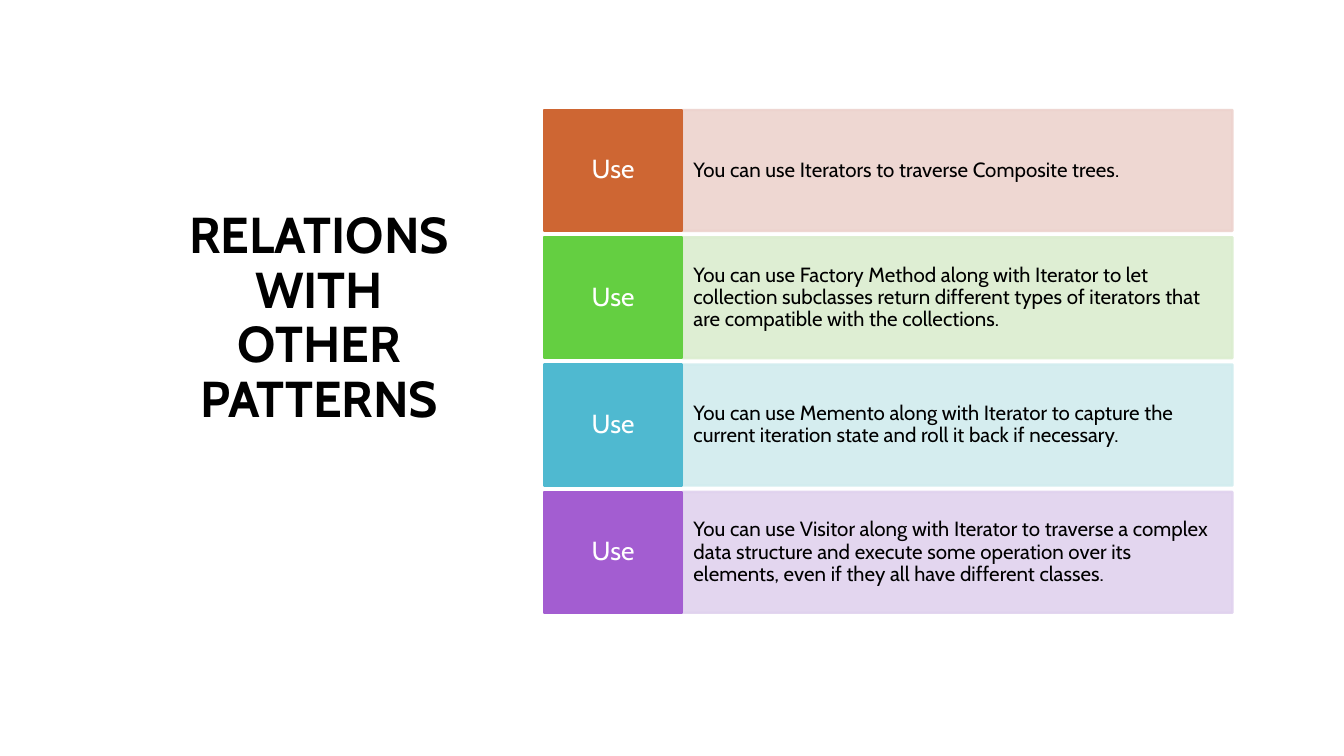
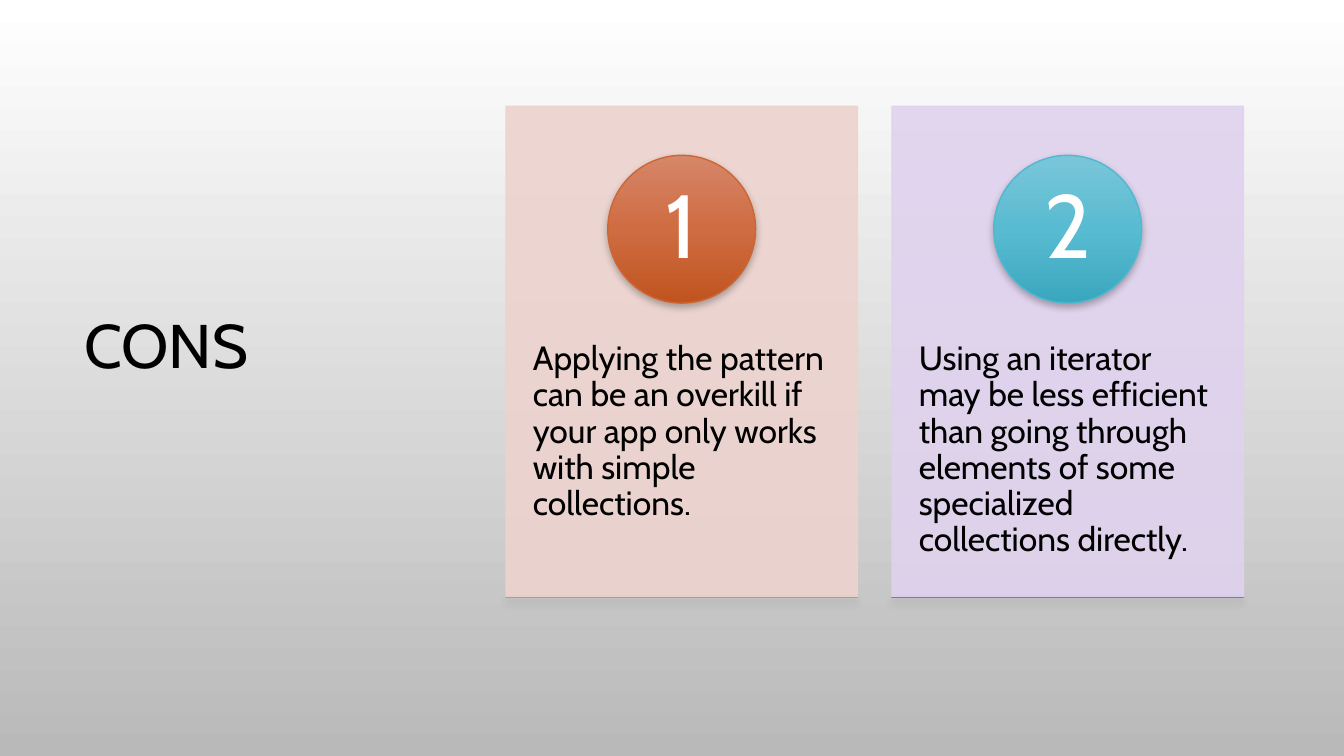
from copy import deepcopy
from lxml import etree
from pptx import Presentation
from pptx import util as u
from pptx.dml.color import RGBColor
from pptx.enum import shapes, text
from pptx.oxml.ns import qn

FONT = "Cabin"
COLORS = {
    "black": "000000", "white": "FFFFFF", "grey": "B9B9B9",
    "orange": "CE6633", "green": "64CF41", "blue": "4FB9D0", "purple": "A35DD1",
    "pale orange": "EDD3CE", "pale green": "DBEDCF",
    "pale blue": "D1ECEE", "pale purple": "E0D2EE",
}
GRADIENTS = {
    "backdrop": ["FFFFFF", "B9B9B9"],
    "orange": ["D68669", "CF6C42", "C0541F"],
    "green": ["86D771", "6AD04C", "51BF2C"],
    "blue": ["7AC6D9", "58BBD1", "3AA7BF"],
    "purple": ["B685DA", "A664D2", "8F47BF"],
}
LEFT, CENTER = text.PP_ALIGN.LEFT, text.PP_ALIGN.CENTER
TOP, MIDDLE = text.MSO_ANCHOR.TOP, text.MSO_ANCHOR.MIDDLE
RECT, OVAL = shapes.MSO_SHAPE.RECTANGLE, shapes.MSO_SHAPE.OVAL

prs = Presentation()
prs.slide_width = u.Inches(10)
prs.slide_height = u.Inches(10) * 9 // 16
COL, ROW = prs.slide_width / 100, prs.slide_height / 100


def write(shape, words, size, color, align, anchor, insets=(0.1, 0.05, 0.1, 0.05)):
    frame = shape.text_frame
    frame.text = words
    frame.word_wrap = True
    frame.auto_size = text.MSO_AUTO_SIZE.NONE
    frame.vertical_anchor = anchor
    (frame.margin_left, frame.margin_top,
     frame.margin_right, frame.margin_bottom) = map(u.Inches, insets)
    paragraph = frame.paragraphs[0]
    paragraph.alignment = align
    paragraph.line_spacing = 0.9
    font = paragraph.runs[0].font
    font.name, font.size = FONT, u.Pt(size)
    font.color.rgb = RGBColor.from_string(COLORS[color])
    return font


def block(slide, kind, x, y, w, h, color, line_width, gradient=False):
    shape = slide.shapes.add_shape(
        kind, round(x * COL), round(y * ROW), round(w * COL), round(h * ROW))
    shape.line.color.rgb = RGBColor.from_string(COLORS[color])
    shape.line.width = u.Pt(line_width)
    shape.shadow.inherit = False
    properties = shape._element.spPr
    if gradient:
        shape.fill.gradient()
        shape.fill.gradient_angle = 270
        stops = properties.find(".//" + qn("a:gsLst"))
        stops.append(deepcopy(stops[-1]))
        for i, stop in enumerate(shape.fill.gradient_stops):
            stop.position = i / 2
            stop.color.rgb = RGBColor.from_string(GRADIENTS[color][i])
        shadow = etree.SubElement(
            properties.find(qn("a:effectLst")), qn("a:outerShdw"),
            blurRad=str(u.Pt(4)), dist=str(u.Pt(2)), dir="5400000", rotWithShape="0")
        shade = etree.SubElement(shadow, qn("a:srgbClr"), val=COLORS["black"])
        etree.SubElement(shade, qn("a:alpha"), val="28000")
    else:
        shape.fill.solid()
        shape.fill.fore_color.rgb = RGBColor.from_string(COLORS[color])
    if color.startswith("pale"):
        for tint in properties.iter(qn("a:srgbClr")):
            etree.SubElement(tint, qn("a:alpha"), val="90000")
    return shape


headings = [
    ("RELATIONS WITH OTHER PATTERNS", 12.2, 18.67, 23.1, 54.2, 27, True, CENTER, 0.45),
    ("CONS", 5.3, 19.2, 23.3, 53.7, 33, False, LEFT, 0.05),
]
slides = []
for words, x, y, w, h, size, bold, align, bottom in headings:
    slide = prs.slides.add_slide(prs.slide_layouts[5])
    title = slide.shapes.title
    title.left, title.top = round(x * COL), round(y * ROW)
    title.width, title.height = round(w * COL), round(h * ROW)
    write(title, words, size, "black", align, MIDDLE, (0.1, 0.05, 0.1, bottom)).bold = bold
    slides.append(slide)
relations, cons = slides

relations.background.fill.solid()
relations.background.fill.fore_color.rgb = RGBColor.from_string(COLORS["white"])
backdrop = cons.background.fill
backdrop.gradient()
backdrop.gradient_angle = 270
for i, stop in enumerate(backdrop.gradient_stops):
    stop.position = i
    stop.color.rgb = RGBColor.from_string(GRADIENTS["backdrop"][i])

uses = [
    ("orange", "You can use Iterators to traverse Composite trees."),
    ("green", "You can use Factory Method along with Iterator to let collection "
              "subclasses return different types of iterators that are compatible "
              "with the collections."),
    ("blue", "You can use Memento along with Iterator to capture the current "
             "iteration state and roll it back if necessary."),
    ("purple", "You can use Visitor along with Iterator to traverse a complex data "
               "structure and execute some operation over its elements, even if they "
               "all have different classes."),
]
for i, (color, advice) in enumerate(uses):
    y = 14.55 + i * 16.84
    detail = block(relations, RECT, 50.8, y, 40.9, 16, "pale " + color, 1.25)
    write(detail, advice, 11, "black", LEFT, MIDDLE, (0.08, 0.23, 0.08, 0.23))
    label = block(relations, RECT, 40.5, y, 10.25, 16, color, 1.25)
    write(label, "Use", 14, "white", CENTER, MIDDLE, (0.05, 0.09, 0.05, 0.09))

drawbacks = [
    ("pale orange", "orange", "green",
     "Applying the pattern can be an overkill if your app only works with "
     "simple collections."),
    ("pale purple", "blue", "purple",
     "Using an iterator may be less efficient than going through elements of "
     "some specialized collections directly."),
]
CARD, DISC = 26.15, 11
for i, (card_color, disc_color, base_color, drawback) in enumerate(drawbacks):
    x = 37.65 + i * 28.72
    card = block(cons, RECT, x, 14.05, CARD, 64.9, card_color, 0.75)
    write(card, drawback, 18, "black", LEFT, TOP, (0.2, 1.75, 0.2, 0.36))
    disc = block(cons, OVAL, x + (CARD - DISC) / 2, 20.55, DISC, DISC * COL / ROW,
                 disc_color, 0.75, gradient=True)
    write(disc, str(i + 1), 48, "white", CENTER, MIDDLE, (0.09, 0.01, 0.09, 0.01))
    block(cons, RECT, x, 79.05, CARD, 0, base_color, 0.75, gradient=True)

prs.save("out.pptx")
